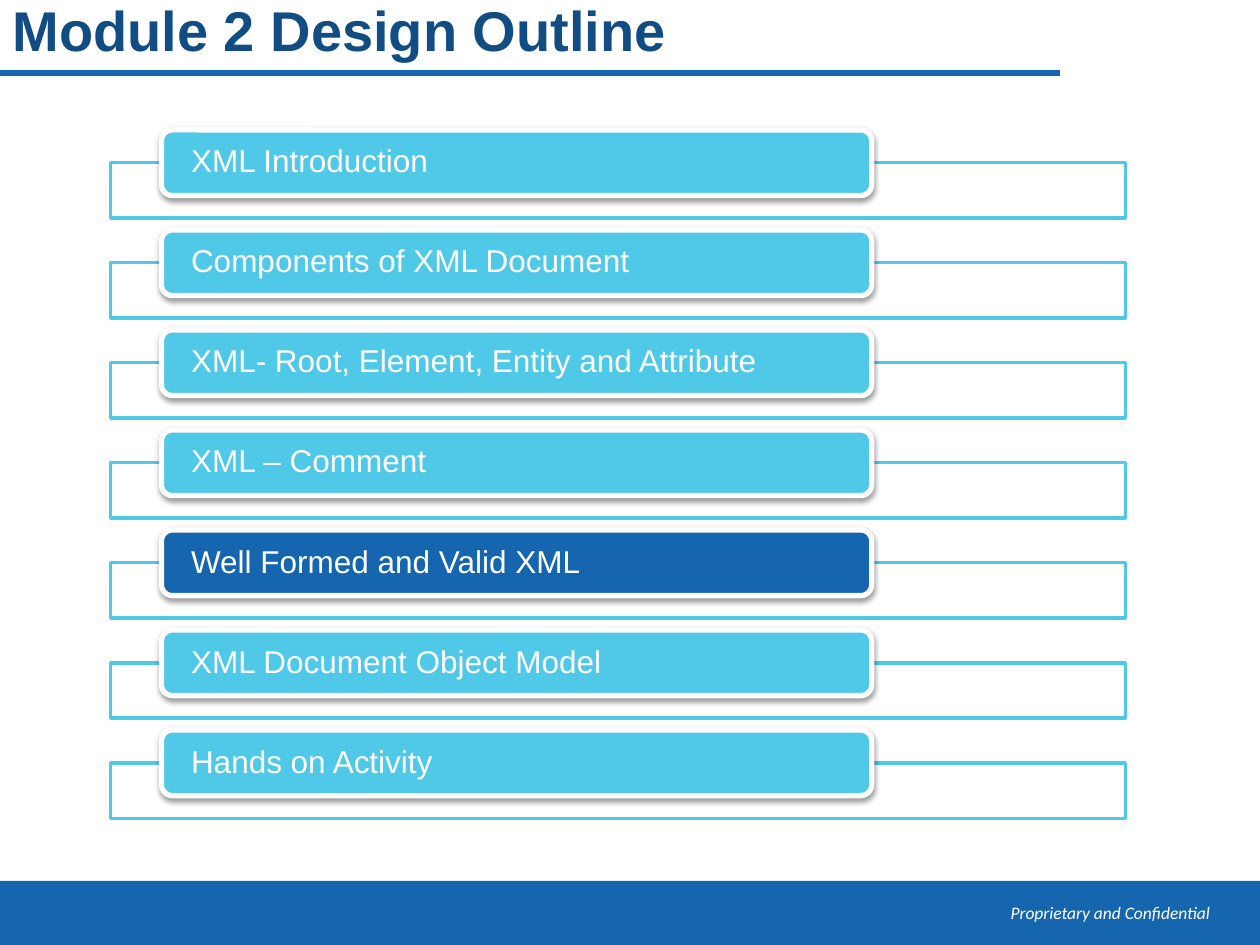
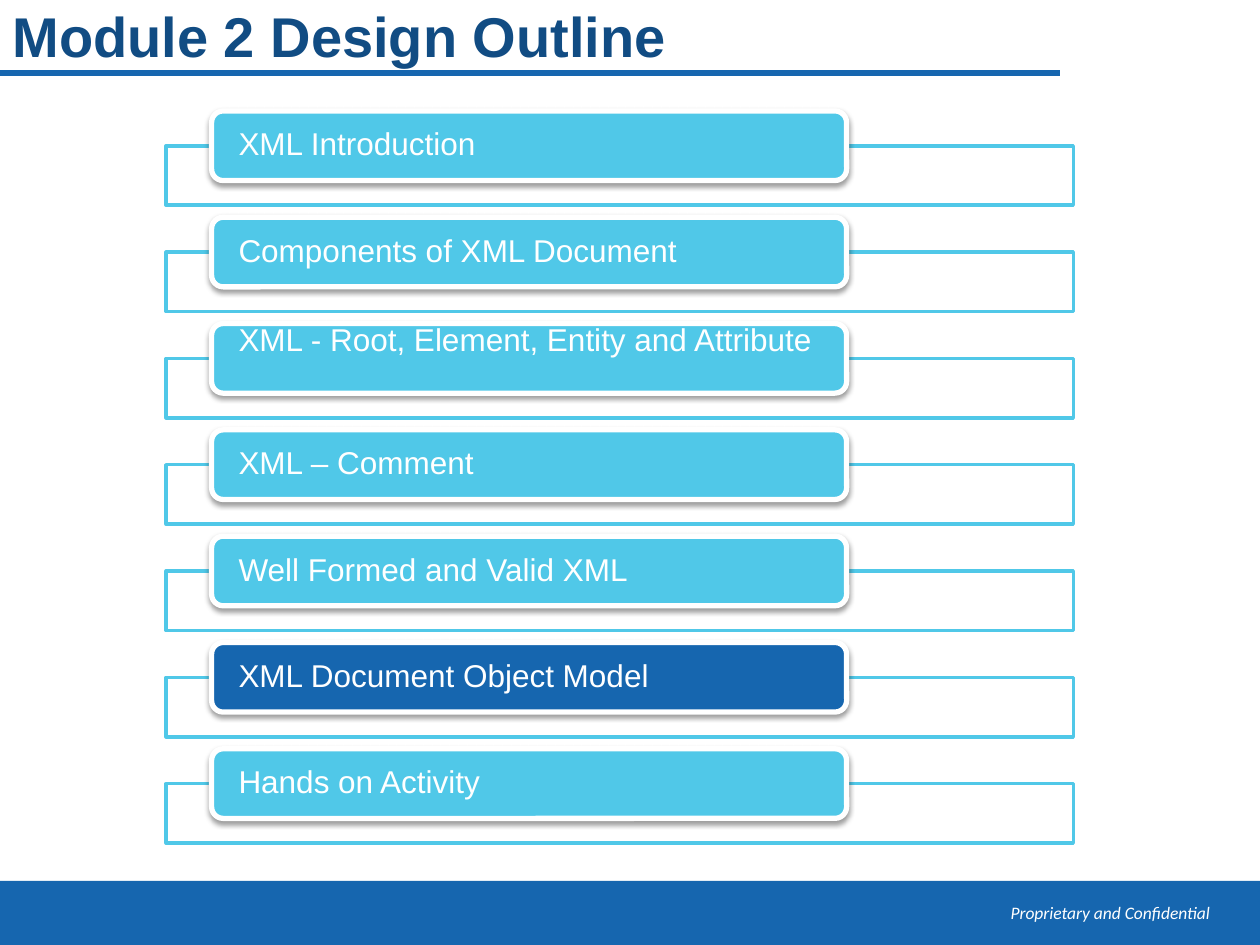
from dataclasses import dataclass

from lxml import etree
from pptx import Presentation
from pptx import util as u
from pptx.dml import color
from pptx.enum import shapes, text
from pptx.oxml import ns

COLORS = {"band": "1666AF", "title": "114C83", "item": "50C8E8",
          "white": "FFFFFF", "shadow": "000000"}
TITLE_FONT = {"name": "Arial", "size": u.Pt(32), "bold": True}
ITEM_FONT = {"name": "Arial", "size": u.Pt(18), "bold": False}
FOOTER_FONT = {"name": "Calibri", "size": u.Pt(10), "italic": True}


@dataclass
class Item:
    label: str
    lift: float = 0


@dataclass
class Outline:
    title_top: float
    left: float
    top: float
    width: float
    frame_height: float
    bar_height: float
    pitch: float
    current: int
    items: list[Item]


def outline_items(root_item: Item) -> list[Item]:
    """Return the module topics around the given third topic."""
    return [Item("XML Introduction"), Item("Components of XML Document"), root_item,
            Item("XML – Comment"), Item("Well Formed and Valid XML"),
            Item("XML Document Object Model"), Item("Hands on Activity")]


OUTLINES = [
    Outline(2.2, 63.3, 93, 579.8, 31.75, 37.5, 57.15, 4,
            outline_items(Item("XML- Root, Element, Entity and Attribute"))),
    Outline(5.8, 95, 83.3, 518.4, 34, 39.8, 60.75, 5,
            outline_items(Item("XML - Root, Element, Entity and Attribute", 10))),
]


def rgb(name: str) -> color.RGBColor:
    """Look up a named colour."""
    return color.RGBColor.from_string(COLORS[name])


def apply(target, values: dict) -> None:
    """Set each attribute of the target from a dict."""
    for key, value in values.items():
        setattr(target, key, value)


def write(tf, label: str, font: dict, color_name: str, paragraph: dict) -> None:
    """Write one formatted paragraph into a text frame."""
    p = tf.paragraphs[0]
    apply(p, paragraph)
    r = p.add_run()
    r.text = label
    apply(r.font, font)
    r.font.color.rgb = rgb(color_name)


def add_box(s, kind, box: tuple, fill: str, line: str | None = None, weight: float = 0):
    """Draw a filled preset shape without a shadow."""
    sp = s.shapes.add_shape(kind, *map(u.Pt, box))
    sp.shadow.inherit = False
    sp.fill.solid()
    sp.fill.fore_color.rgb = rgb(fill)
    if line:
        sp.line.color.rgb = rgb(line)
        sp.line.width = u.Pt(weight)
    else:
        sp.line.fill.background()
    return sp


def add_alpha(clr, percent: int) -> None:
    """Give a colour element an opacity."""
    etree.SubElement(clr, ns.qn("a:alpha"), val=str(percent * 1000))


def add_shadow(sp) -> None:
    """Give a shape a soft shadow below it."""
    effects = sp._element.spPr.find(ns.qn("a:effectLst"))
    shadow = etree.SubElement(effects, ns.qn("a:outerShdw"), blurRad=str(u.Pt(3.1)),
                              dist=str(u.Pt(1.6)), dir="5400000", rotWithShape="0")
    clr = etree.SubElement(shadow, ns.qn("a:srgbClr"), val=COLORS["shadow"])
    add_alpha(clr, 38)


def add_base(s, title_top: float) -> None:
    """Draw the title, its rule and the footer band."""
    add_box(s, shapes.MSO_SHAPE.RECTANGLE, (0, 503.4, 720, 36.6), "band")
    footer = s.shapes.add_textbox(*map(u.Pt, (529.2, 512, 169.2, 23)))
    footer.text_frame.word_wrap = True
    write(footer.text_frame, "Proprietary and Confidential", FOOTER_FONT, "white",
          {"alignment": text.PP_ALIGN.RIGHT})

    rule = s.shapes.add_connector(shapes.MSO_CONNECTOR.STRAIGHT,
                                  *map(u.Pt, (0, 41.8, 606, 41.8)))
    rule.line.color.rgb = rgb("band")
    rule.line.width = u.Pt(3)
    etree.SubElement(rule._element.spPr, ns.qn("a:effectLst"))

    title = s.shapes.title
    apply(title, {"left": u.Pt(0), "top": u.Pt(title_top),
                  "width": u.Pt(540), "height": u.Pt(33.8)})
    apply(title.text_frame, {"word_wrap": True, "auto_size": text.MSO_AUTO_SIZE.NONE,
                             "vertical_anchor": text.MSO_ANCHOR.MIDDLE})
    write(title.text_frame, "Module 2 Design Outline", TITLE_FONT, "title",
          {"alignment": text.PP_ALIGN.LEFT, "line_spacing": 0.88})


def add_item(s, outline: Outline, index: int, item: Item) -> None:
    """Draw one topic bar over its outlined frame."""
    top = outline.top + index * outline.pitch
    frame = add_box(s, shapes.MSO_SHAPE.RECTANGLE,
                    (outline.left, top, outline.width, outline.frame_height),
                    "white", "item", 2)
    add_alpha(frame._element.spPr.find(ns.qn("a:solidFill"))[0], 90)

    bar = add_box(s, shapes.MSO_SHAPE.ROUNDED_RECTANGLE,
                  (outline.left + 0.05 * outline.width, top - outline.bar_height / 2,
                   0.7 * outline.width, outline.bar_height),
                  "band" if index == outline.current else "item", "white", 3)
    add_shadow(bar)
    inset = u.Pt(outline.width * 0.026)
    apply(bar.text_frame, {"word_wrap": True, "margin_left": inset, "margin_right": inset,
                           "margin_top": 0, "margin_bottom": u.Pt(2 * item.lift),
                           "vertical_anchor": text.MSO_ANCHOR.MIDDLE})
    write(bar.text_frame, item.label, ITEM_FONT, "white",
          {"alignment": text.PP_ALIGN.LEFT, "line_spacing": 0.9})


def main() -> None:
    """Build the outline slides and save them."""
    prs = Presentation()
    apply(prs, {"slide_width": u.Pt(720), "slide_height": u.Pt(540)})
    for outline in OUTLINES:
        s = prs.slides.add_slide(prs.slide_layouts[5])
        add_base(s, outline.title_top)
        for index, item in enumerate(outline.items):
            add_item(s, outline, index, item)
    prs.save("out.pptx")


if __name__ == "__main__":
    main()
